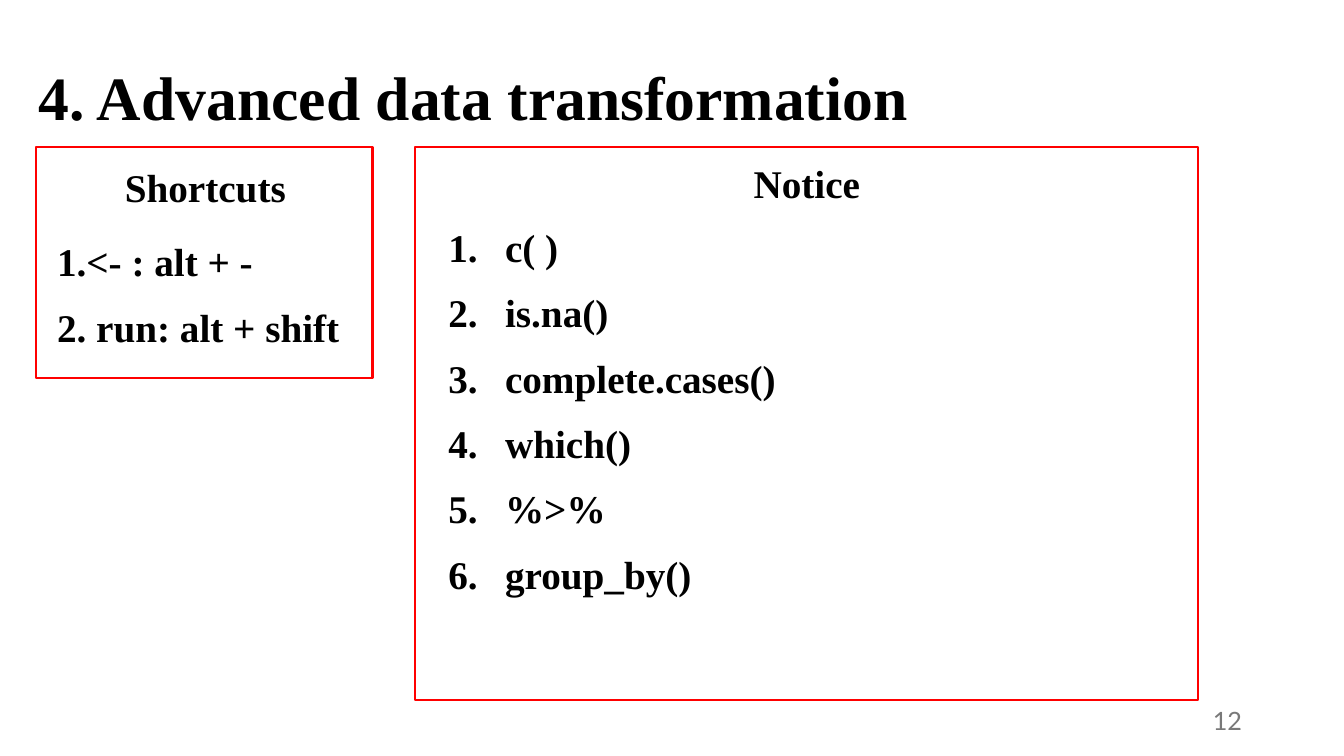
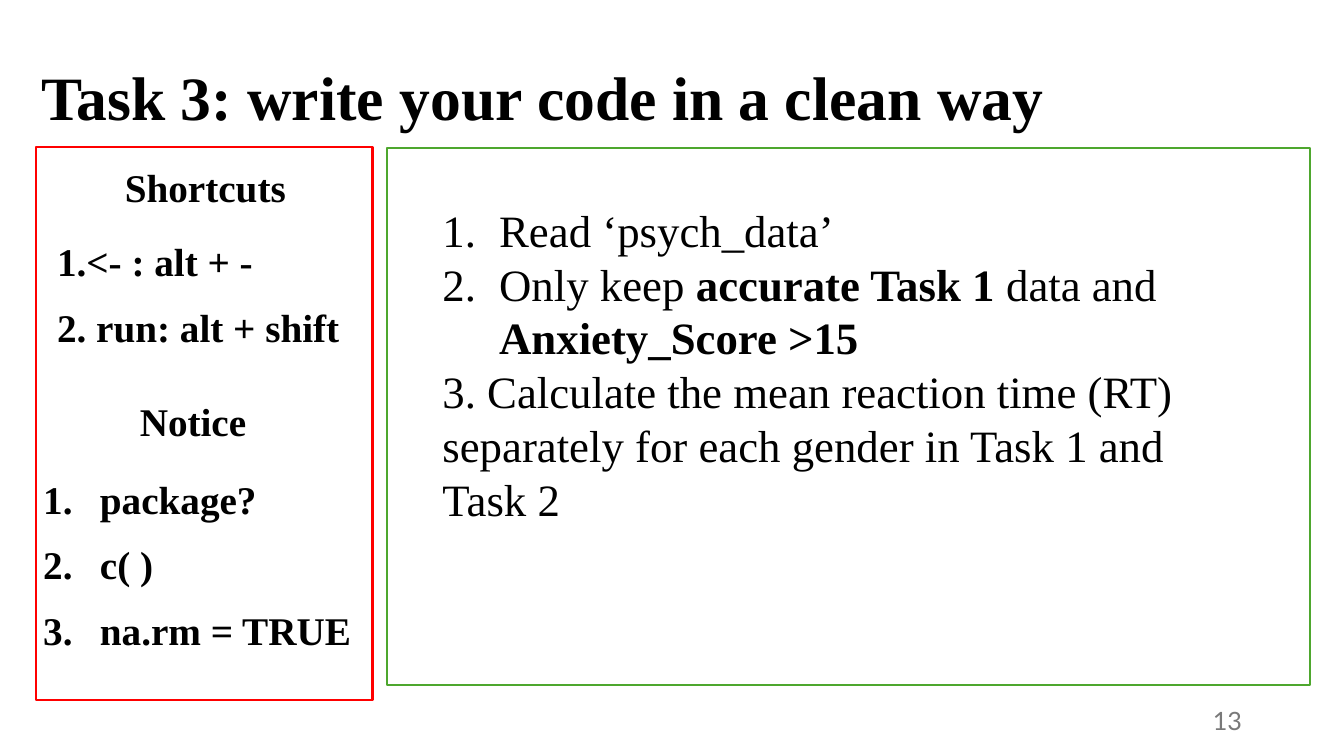
from dataclasses import dataclass

from lxml import etree
from pptx import Presentation
from pptx.dml.color import RGBColor
from pptx.enum.shapes import MSO_SHAPE
from pptx.enum.text import MSO_ANCHOR, PP_ALIGN
from pptx.oxml.ns import qn
from pptx.util import Cm, Pt

RECTANGLE = MSO_SHAPE.RECTANGLE
LEFT, CENTER, RIGHT = PP_ALIGN.LEFT, PP_ALIGN.CENTER, PP_ALIGN.RIGHT
TOP, MIDDLE = MSO_ANCHOR.TOP, MSO_ANCHOR.MIDDLE


@dataclass(frozen=True)
class Theme:
    text: RGBColor = RGBColor(0x00, 0x00, 0x00)
    panel: RGBColor = RGBColor(0xFF, 0xFF, 0xFF)
    red: RGBColor = RGBColor(0xFF, 0x00, 0x00)
    green: RGBColor = RGBColor(0x4E, 0xA7, 0x2E)
    grey: RGBColor = RGBColor(0x79, 0x79, 0x79)
    font: str = "Times New Roman"
    number_font: str = "Lato"
    title_size: int = 44
    task_size: int = 32
    list_size: int = 28
    number_size: int = 18
    border: float = 1.5
    line_spacing: float = 1.15
    space_after: int = 8


THEME = Theme()
HANGING = Cm(1.43)
SIDE_LEFT, SIDE_WIDTH = 0.91, 8.48
PANEL_TOP, PANEL_HEIGHT = 3.71, 13.94
LABEL_WIDTH, LABEL_HEIGHT = 9.07, 1.52


# Basic elements
def add_panel(slide, left, top, width, height, color):
    shape = slide.shapes.add_shape(RECTANGLE, Cm(left), Cm(top), Cm(width), Cm(height))
    shape.shadow.inherit = False
    shape.fill.solid()
    shape.fill.fore_color.rgb = THEME.panel
    shape.line.color.rgb = color
    shape.line.width = Pt(THEME.border)


def add_text_box(slide, left, top, width, height, anchor=TOP):
    box = slide.shapes.add_textbox(Cm(left), Cm(top), Cm(width), Cm(height))
    text_frame = box.text_frame
    text_frame.word_wrap = True
    text_frame.vertical_anchor = anchor
    return text_frame


def format_run(run, size, bold=True, font=THEME.font, color=THEME.text):
    run.font.size = Pt(size)
    run.font.bold = bold
    run.font.name = font
    run.font.color.rgb = color


def space_paragraph(paragraph):
    paragraph.line_spacing = THEME.line_spacing
    paragraph.space_after = Pt(THEME.space_after)


def number_paragraph(paragraph, indent=HANGING):
    properties = paragraph._p.get_or_add_pPr()
    properties.set("marL", str(indent))
    properties.set("indent", str(-indent))
    etree.SubElement(properties, qn("a:buAutoNum"), type="arabicPeriod")


def paragraphs_for(text_frame, items):
    """Pair every item with its own paragraph."""
    for index, item in enumerate(items):
        yield (text_frame.add_paragraph() if index else text_frame.paragraphs[0]), item


# Text blocks
def add_heading(slide, text, left, top, width, height, size):
    paragraph = add_text_box(slide, left, top, width, height).paragraphs[0]
    paragraph.text = text
    paragraph.alignment = CENTER
    space_paragraph(paragraph)
    format_run(paragraph.runs[0], size)


def add_title(slide, text, width):
    add_heading(slide, text, 0.33, 1.09, width, 2.24, THEME.title_size)


def add_label(slide, text, left, top):
    add_heading(slide, text, left, top, LABEL_WIDTH, LABEL_HEIGHT, THEME.list_size)


def add_numbered_list(slide, items, left, top, height):
    text_frame = add_text_box(slide, left, top, LABEL_WIDTH, height)
    for paragraph, item in paragraphs_for(text_frame, items):
        paragraph.text = item
        space_paragraph(paragraph)
        number_paragraph(paragraph)
        format_run(paragraph.runs[0], THEME.list_size)


def add_shortcuts(slide):
    add_label(slide, "Shortcuts", 0.64, 3.81)
    text_frame = add_text_box(slide, 1.19, 5.69, LABEL_WIDTH, 3.18)
    items = [("<- : alt + -", True), ("2. run: alt + shift", False)]
    for paragraph, (text, numbered) in paragraphs_for(text_frame, items):
        paragraph.text = text
        space_paragraph(paragraph)
        if numbered:
            number_paragraph(paragraph, 0)
        format_run(paragraph.runs[0], THEME.list_size)


def add_task_steps(slide, steps):
    """Each step is (numbered, [(text, bold), ...])."""
    text_frame = add_text_box(slide, 10.9, 4.98, 20.42, 9.83)
    for paragraph, (numbered, parts) in paragraphs_for(text_frame, steps):
        paragraph.alignment = LEFT
        if numbered:
            number_paragraph(paragraph)
        for text, bold in parts:
            run = paragraph.add_run()
            run.text = text
            format_run(run, THEME.task_size, bold)


def add_slide_number(slide, number):
    paragraph = add_text_box(slide, 23.93, 17.65, 7.62, 1.02, MIDDLE).paragraphs[0]
    paragraph.text = str(number)
    paragraph.alignment = RIGHT
    format_run(paragraph.runs[0], THEME.number_size, False, THEME.number_font, THEME.grey)


# Slides
def add_slide(presentation, title, title_width, number):
    slide = presentation.slides.add_slide(presentation.slide_layouts[6])
    add_title(slide, title, title_width)
    add_slide_number(slide, number)
    return slide


def build_transformation_slide(presentation):
    slide = add_slide(presentation, "4. Advanced data transformation", 23.22, 12)
    add_panel(slide, SIDE_LEFT, PANEL_TOP, SIDE_WIDTH, 5.82, THEME.red)
    add_shortcuts(slide)
    add_panel(slide, 10.46, PANEL_TOP, 19.74, PANEL_HEIGHT, THEME.red)
    add_label(slide, "Notice", 15.8, PANEL_TOP)
    functions = ["c( )", "is.na()", "complete.cases()", "which()", "%>%", "group_by()"]
    add_numbered_list(slide, functions, 11.05, 5.33, 9.83)


def build_task_slide(presentation):
    slide = add_slide(presentation, "Task 3: write your code in a clean way", 26.7, 13)
    add_panel(slide, 9.75, 3.73, 23.27, 13.54, THEME.green)
    add_task_steps(slide, [
        (True, [("Read ‘psych_data’", False)]),
        (True, [("Only keep ", False), ("accurate Task 1 ", True),
                ("data and ", False), ("Anxiety_Score >15", True)]),
        (False, [("3. Calculate the mean reaction time (RT) separately "
                  "for each gender in Task 1 and Task 2", False)]),
    ])
    add_panel(slide, SIDE_LEFT, PANEL_TOP, SIDE_WIDTH, PANEL_HEIGHT, THEME.red)
    add_shortcuts(slide)
    add_label(slide, "Notice", 0.33, 9.7)
    add_numbered_list(slide, ["package?", "c( )", "na.rm = TRUE"], 0.84, 11.68, 4.85)


def main():
    presentation = Presentation()
    presentation.slide_width = Cm(33.87)
    presentation.slide_height = Cm(19.05)
    build_transformation_slide(presentation)
    build_task_slide(presentation)
    presentation.save("out.pptx")


if __name__ == "__main__":
    main()
